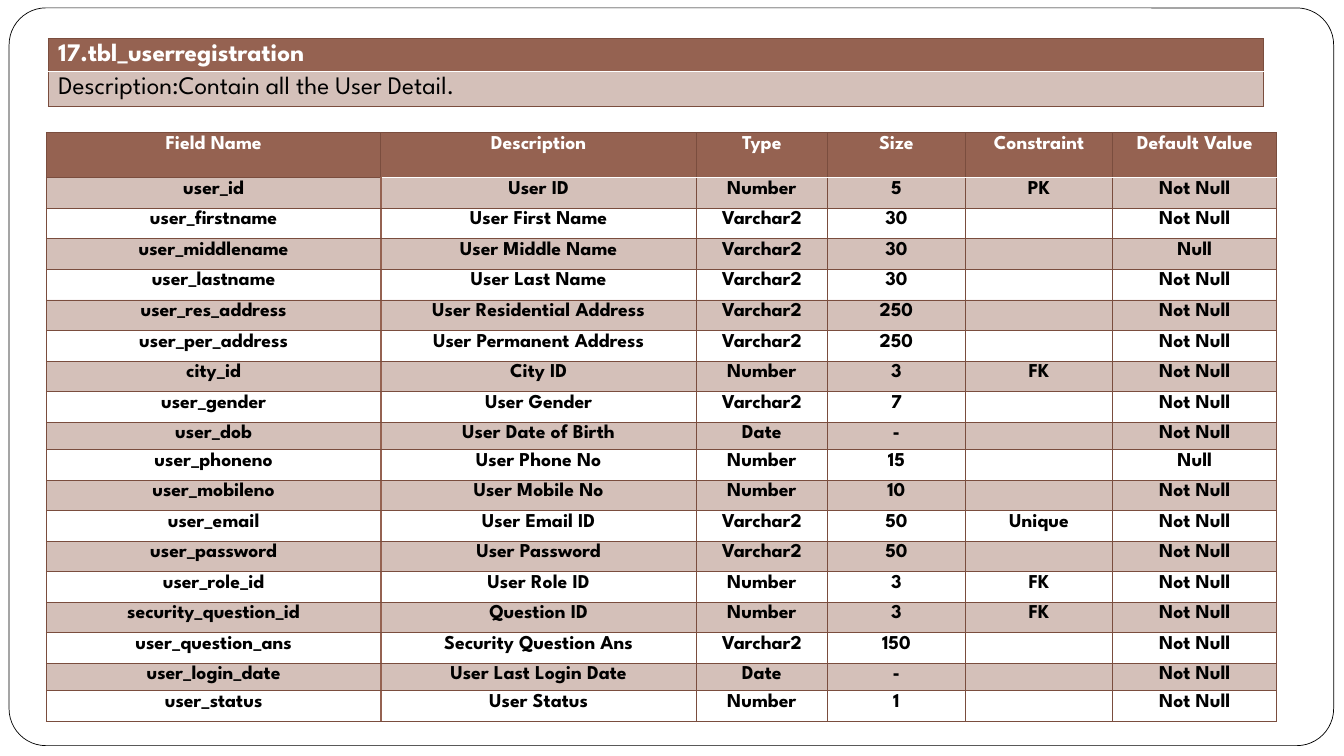
from dataclasses import dataclass
from typing import NamedTuple

from lxml.etree import SubElement
from pptx import Presentation
from pptx.dml.color import RGBColor
from pptx.enum.shapes import MSO_SHAPE
from pptx.enum.text import PP_ALIGN
from pptx.oxml.ns import qn
from pptx.slide import Slide
from pptx.table import Table, _Cell as Cell
from pptx.util import Cm, Pt


@dataclass(frozen=True)
class Theme:
    font: str = "League Spartan"
    brown: str = "956251"
    border: str = "7A4D3E"
    white: str = "FFFFFF"
    black: str = "000000"
    band_opacity: int = 40
    heading_size: int = 18
    body_size: int = 14
    thin: float = 0.75
    thick: float = 1


class Field(NamedTuple):
    name: str
    description: str
    type: str
    size: str
    constraint: str = ""
    default: str = "Not Null"


class Border(NamedTuple):
    color: str
    width: float


THEME = Theme()
GRID = Border(THEME.border, THEME.thin)
HEADER_RULE = Border(THEME.white, THEME.thick)
NAME_RULE = Border(THEME.brown, THEME.thick)

HEADER = Field("Field Name", "Description", "Type", "Size", "Constraint", "Default Value")
FIELDS = [
    Field("user_id", "User ID", "Number", "5", "PK"),
    Field("user_firstname", "User First Name", "Varchar2", "30"),
    Field("user_middlename", "User Middle Name", "Varchar2", "30", default="Null"),
    Field("user_lastname", "User Last Name", "Varchar2", "30"),
    Field("user_res_address", "User Residential Address", "Varchar2", "250"),
    Field("user_per_address", "User Permanent Address", "Varchar2", "250"),
    Field("city_id", "City ID", "Number", "3", "FK"),
    Field("user_gender", "User Gender", "Varchar2", "7"),
    Field("user_dob", "User Date of Birth", "Date", "-"),
    Field("user_phoneno", "User Phone No", "Number", "15", default="Null"),
    Field("user_mobileno", "User Mobile No", "Number", "10"),
    Field("user_email", "User Email ID", "Varchar2", "50", "Unique"),
    Field("user_password", "User Password", "Varchar2", "50"),
    Field("user_role_id", "User Role ID", "Number", "3", "FK"),
    Field("security_question_id", "Question ID", "Number", "3", "FK"),
    Field("user_question_ans", "Security Question Ans", "Varchar2", "150"),
    Field("user_login_date", "User Last Login Date", "Date", "-"),
    Field("user_status", "User Status", "Number", "1"),
]
COLUMN_WIDTHS = [8.43, 7.95, 3.3, 3.48, 3.71, 4.14]
HEADER_HEIGHT, ROW_HEIGHT, DATE_ROW_HEIGHT = 1.13, 0.77, 0.69


def write_text(cell: Cell, text: str, *, size: int, color: str, bold: bool = True,
               align: PP_ALIGN = PP_ALIGN.LEFT, spacing: float = 1.0) -> None:
    paragraph = cell.text_frame.paragraphs[0]
    paragraph.alignment = align
    paragraph.line_spacing = spacing
    if not text:
        # An empty cell needs its own text size, or the row grows.
        SubElement(paragraph._p, qn("a:endParaRPr"), sz=str(size * 100))
        return
    run = paragraph.add_run()
    run.text = text
    run.font.name = THEME.font
    run.font.size = Pt(size)
    run.font.bold = bold
    run.font.color.rgb = RGBColor.from_string(color)


def set_borders(cell: Cell, left: Border = GRID, right: Border = GRID,
                top: Border = GRID, bottom: Border = GRID) -> None:
    """Call before filling the cell: the schema puts lines ahead of the fill."""
    properties = cell._tc.get_or_add_tcPr()
    for tag, border in zip(("lnL", "lnR", "lnT", "lnB"), (left, right, top, bottom)):
        line = SubElement(properties, qn(f"a:{tag}"), w=str(Pt(border.width)))
        fill = SubElement(line, qn("a:solidFill"))
        SubElement(fill, qn("a:srgbClr"), val=border.color)


def fill_brown(cell: Cell, opacity: int = 100) -> None:
    cell.fill.solid()
    cell.fill.fore_color.rgb = RGBColor.from_string(THEME.brown)
    if opacity < 100:
        color = cell._tc.tcPr.find(f"{qn('a:solidFill')}/{qn('a:srgbClr')}")
        SubElement(color, qn("a:alpha"), val=str(opacity * 1000))


def add_grid(slide: Slide, left: float, top: float,
             widths: list[float], heights: list[float]) -> Table:
    frame = slide.shapes.add_table(len(heights), len(widths), Cm(left), Cm(top),
                                   Cm(sum(widths)), Cm(sum(heights)))
    table = frame.table
    table.first_row = table.horz_banding = False
    for column, width in zip(table.columns, widths):
        column.width = Cm(width)
    for row, height in zip(table.rows, heights):
        row.height = Cm(height)
    return table


def add_frame(slide: Slide) -> None:
    frame = slide.shapes.add_shape(MSO_SHAPE.ROUNDED_RECTANGLE,
                                   Cm(0.23), Cm(0.2), Cm(33.38), Cm(18.59))
    frame.adjustments[0] = 0.05
    frame.shadow.inherit = False
    frame.fill.solid()
    frame.fill.fore_color.rgb = RGBColor.from_string(THEME.white)
    frame.line.color.rgb = RGBColor.from_string(THEME.black)
    frame.line.width = Pt(0.5)


def add_field_table(slide: Slide) -> None:
    heights = [HEADER_HEIGHT] + [DATE_ROW_HEIGHT if field.type == "Date" else ROW_HEIGHT
                                 for field in FIELDS]
    table = add_grid(slide, 1.17, 3.35, COLUMN_WIDTHS, heights)
    for row, field in enumerate([HEADER, *FIELDS]):
        is_header = row == 0
        for column, text in enumerate(field):
            cell = table.cell(row, column)
            cell.margin_left = cell.margin_right = Cm(0.18)
            cell.margin_top = cell.margin_bottom = 0
            write_text(cell, text, size=THEME.body_size, align=PP_ALIGN.CENTER, spacing=1.15,
                       color=THEME.white if is_header else THEME.black)
            under_header = HEADER_RULE if column else GRID
            set_borders(cell,
                        left=NAME_RULE if column == 1 and not is_header else GRID,
                        right=NAME_RULE if column == 0 and not is_header else GRID,
                        top=under_header if row == 1 else GRID,
                        bottom=under_header if is_header else GRID)
            if is_header:
                fill_brown(cell)
            elif row % 2:
                fill_brown(cell, THEME.band_opacity)
            else:
                cell.fill.background()


def add_heading_table(slide: Slide) -> None:
    table = add_grid(slide, 1.22, 0.97, [30.63], [0.83, 0.86])
    name, description = table.cell(0, 0), table.cell(1, 0)
    write_text(name, "17.tbl_userregistration", size=THEME.heading_size, color=THEME.white)
    set_borders(name, bottom=HEADER_RULE)
    fill_brown(name)
    write_text(description, "Description:Contain all the User Detail.",
               size=THEME.heading_size, color=THEME.black, bold=False)
    set_borders(description, top=HEADER_RULE)
    fill_brown(description, THEME.band_opacity)


def main() -> None:
    presentation = Presentation()
    presentation.slide_width, presentation.slide_height = Cm(33.87), Cm(19.05)
    slide = presentation.slides.add_slide(presentation.slide_layouts.get_by_name("Blank"))
    add_frame(slide)
    add_field_table(slide)
    add_heading_table(slide)
    presentation.save("out.pptx")


if __name__ == "__main__":
    main()
